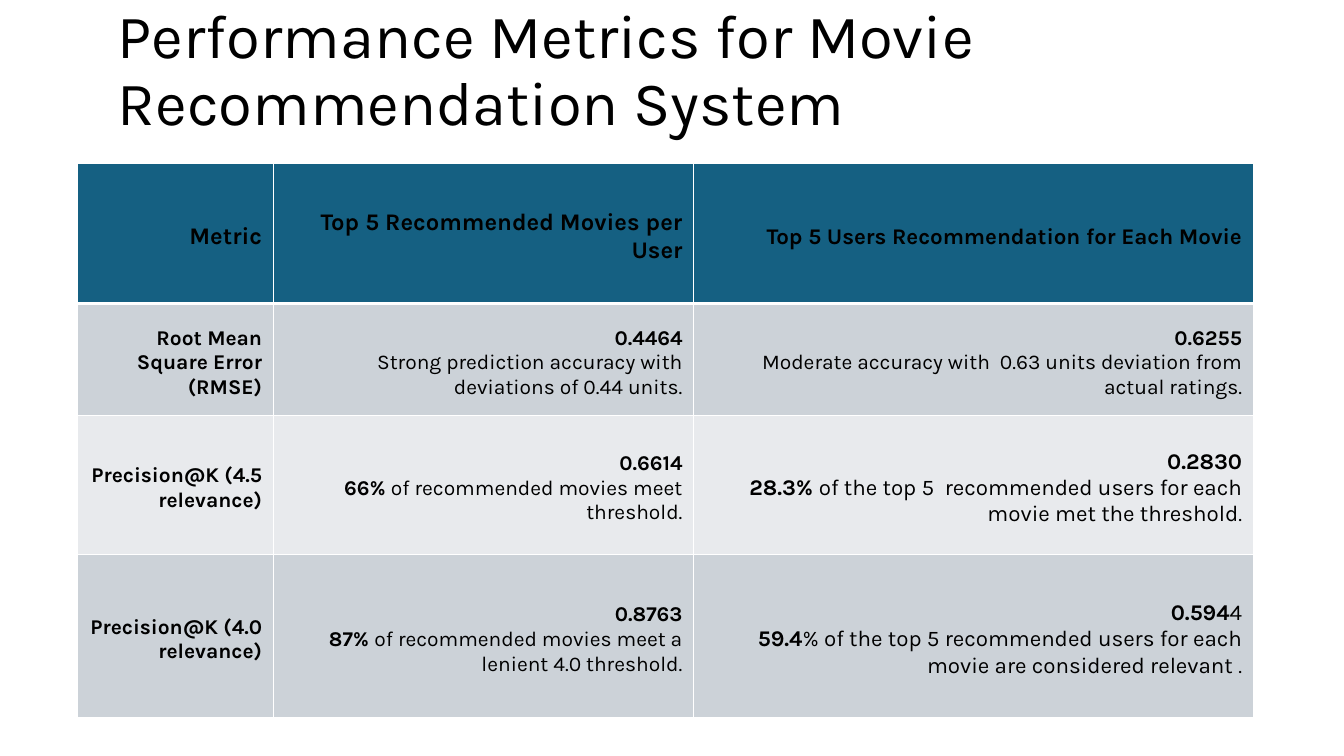
import pptx
import pptx.util
import pptx.dml.color
import pptx.enum.text
import pptx.oxml
import pptx.oxml.ns

Inches = pptx.util.Inches
Pt = pptx.util.Pt
RGBColor = pptx.dml.color.RGBColor
MIDDLE = pptx.enum.text.MSO_ANCHOR.MIDDLE
RIGHT = pptx.enum.text.PP_ALIGN.RIGHT

BLACK = RGBColor(0x00, 0x00, 0x00)
WHITE = RGBColor(0xFF, 0xFF, 0xFF)
TEAL = RGBColor(0x15, 0x60, 0x82)
BAND_DARK = RGBColor(0xCC, 0xD2, 0xD8)
BAND_LIGHT = RGBColor(0xE8, 0xEA, 0xED)
FONT = "Karla"

COLUMN_WIDTHS = [1.94, 4.17, 5.55]
ROW_HEIGHTS = [1.39, 1.11, 1.38, 1.62]


def bold(text, size=15):
    """Describe a bold run."""
    return text, size, True


def plain(text, size=15):
    """Describe a regular run."""
    return text, size, False


METRICS = [
    [
        [[bold("Metric", 17)]],
        [[bold("Top 5 Recommended Movies per User", 17)]],
        [[bold("Top 5 Users Recommendation for Each Movie", 16)]],
    ],
    [
        [[bold("Root Mean Square Error (RMSE)")]],
        [[bold("0.4464")],
         [plain("Strong prediction accuracy with deviations of 0.44 units.")]],
        [[bold("0.6255")],
         [plain("Moderate accuracy with  0.63 units deviation from actual ratings.")]],
    ],
    [
        [[bold("Precision@K (4.5 relevance)")]],
        [[bold("0.6614")],
         [bold("66% "), plain("of recommended movies meet threshold.")]],
        [[bold("0.2830", 16)],
         [bold("28.3% ", 16),
          plain("of the top 5  recommended users for each movie met the threshold", 16),
          plain(".")]],
    ],
    [
        [[bold("Precision@K (4.0 relevance)")]],
        [[bold("0.8763")],
         [bold("87% "), plain("of recommended movies meet a lenient 4.0 threshold.")]],
        [[bold("0.594", 16), plain("4", 16)],
         [bold("59.4", 16),
          plain("% of the top 5 recommended users for each movie are considered relevant ", 16),
          plain(".")]],
    ],
]


def style_font(font, size, is_bold=False):
    """Apply the slide's typeface and text colour."""
    font.name = FONT
    font.size = Pt(size)
    font.bold = is_bold
    font.color.rgb = BLACK


def set_borders(cell, top, bottom):
    """Draw white cell edges with the given top and bottom widths in points."""
    tcPr = cell._tc.get_or_add_tcPr()
    edges = [("lnL", 1), ("lnR", 1), ("lnT", top), ("lnB", bottom)]
    for i, (tag, width) in enumerate(edges):
        line = pptx.oxml.parse_xml(
            f'<a:{tag} {pptx.oxml.ns.nsdecls("a")} w="{Pt(width)}">'
            f'<a:solidFill><a:srgbClr val="{WHITE}"/></a:solidFill></a:{tag}>'
        )
        tcPr.insert(i, line)


def fill_cell(cell, paragraphs, color):
    """Write right-aligned paragraphs into a coloured cell."""
    cell.fill.solid()
    cell.fill.fore_color.rgb = color
    cell.vertical_anchor = MIDDLE
    cell.margin_left = cell.margin_right = Inches(0.11)
    cell.margin_top, cell.margin_bottom = Inches(0.12), Inches(0.05)
    tf = cell.text_frame
    for i, runs in enumerate(paragraphs):
        p = tf.add_paragraph() if i else tf.paragraphs[0]
        p.alignment = RIGHT
        for text, size, is_bold in runs:
            r = p.add_run()
            r.text = text
            style_font(r.font, size, is_bold)


def add_title(s, left, top, width, height):
    """Add the slide heading."""
    tf = s.shapes.add_textbox(
        Inches(left), Inches(top), Inches(width), Inches(height)).text_frame
    tf.word_wrap = True
    tf.vertical_anchor = MIDDLE
    p = tf.paragraphs[0]
    p.text = "Performance Metrics for Movie Recommendation System"
    p.line_spacing = 0.9
    style_font(p.font, 44)


def add_metrics_table(s, left, top):
    """Add the banded table of metrics."""
    table = s.shapes.add_table(
        len(ROW_HEIGHTS), len(COLUMN_WIDTHS), Inches(left), Inches(top),
        Inches(sum(COLUMN_WIDTHS)), Inches(sum(ROW_HEIGHTS))).table
    for column, width in zip(table.columns, COLUMN_WIDTHS):
        column.width = Inches(width)
    for i, (height, row) in enumerate(zip(ROW_HEIGHTS, METRICS)):
        table.rows[i].height = Inches(height)
        color = TEAL if i == 0 else BAND_DARK if i % 2 else BAND_LIGHT
        for j, paragraphs in enumerate(row):
            cell = table.cell(i, j)
            fill_cell(cell, paragraphs, color)
            set_borders(cell, 3 if i == 1 else 1, 3 if i == 0 else 1)


def main():
    """Build and save the slide."""
    prs = pptx.Presentation()
    prs.slide_width, prs.slide_height = Inches(13.33), Inches(7.5)
    s = prs.slides.add_slide(prs.slide_layouts[6])
    add_title(s, 1.07, -0.01, 11.5, 1.45)
    add_metrics_table(s, 0.77, 1.62)
    prs.save("out.pptx")


if __name__ == "__main__":
    main()
